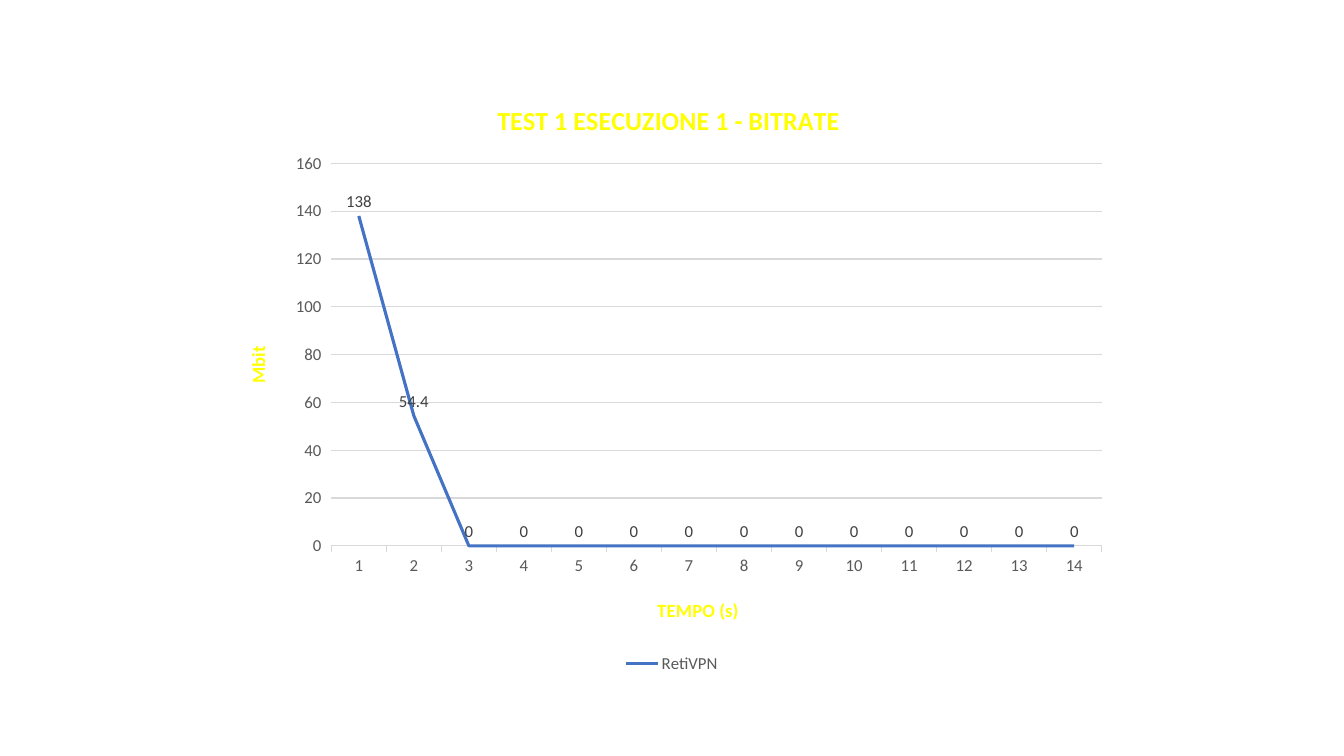
"""Build a slide with a line chart of the bitrate measured in test 1."""
import lxml.etree
import pptx
import pptx.chart.data
import pptx.dml.color
import pptx.enum.chart
import pptx.oxml.ns
import pptx.util
from pptx.util import Cm, Pt


def color(hex_string):
    return pptx.dml.color.RGBColor.from_string(hex_string)


def place(element, position, **fractions):
    """Give a chart part a manual layout, in fractions of the chart."""
    qn = pptx.oxml.ns.qn
    for old_layout in element.findall(qn("c:layout")):
        element.remove(old_layout)
    layout = lxml.etree.Element(qn("c:layout"))
    manual = lxml.etree.SubElement(layout, qn("c:manualLayout"))
    if "w" in fractions:
        lxml.etree.SubElement(manual, qn("c:layoutTarget"), val="inner")
    for mode in ("xMode", "yMode"):
        lxml.etree.SubElement(manual, qn("c:" + mode), val="edge")
    for name, fraction in fractions.items():
        lxml.etree.SubElement(manual, qn("c:" + name), val=str(fraction))
    element.insert(position, layout)


YELLOW, GRAY, LIGHT_GRAY = "FFFF00", "595959", "D9D9D9"

presentation = pptx.Presentation()
presentation.slide_width = Cm(33.87)
presentation.slide_height = Cm(19.05)
slide = presentation.slides.add_slide(presentation.slide_layouts[6])

bitrates = [138, 54.4] + [0] * 12
chart_data = pptx.chart.data.CategoryChartData()
chart_data.categories = [str(second) for second in range(1, len(bitrates) + 1)]
chart_data.add_series("RetiVPN", bitrates)
chart = slide.shapes.add_chart(
    pptx.enum.chart.XL_CHART_TYPE.LINE,
    Cm(5.64), Cm(2.01), Cm(22.58), Cm(15.06), chart_data,
).chart
chart.font.name = "Calibri"
chart.font.size = Pt(12)
chart.font.color.rgb = color(GRAY)

chart.has_legend = True
chart.legend.position = pptx.enum.chart.XL_LEGEND_POSITION.BOTTOM
chart.legend.include_in_layout = False

time_axis, bitrate_axis = chart.category_axis, chart.value_axis
for axis in (time_axis, bitrate_axis):
    axis.major_tick_mark = pptx.enum.chart.XL_TICK_MARK.OUTSIDE
time_axis.format.line.color.rgb = color(LIGHT_GRAY)
time_axis.format.line.width = Pt(0.75)
bitrate_axis.format.line.fill.background()
bitrate_axis.minimum_scale = 0
bitrate_axis.maximum_scale = 160
bitrate_axis.major_unit = 20
gridline = bitrate_axis.major_gridlines.format.line
gridline.color.rgb = color(LIGHT_GRAY)
gridline.width = Pt(0.75)

titles = [
    (chart.chart_title, "TEST 1 ESECUZIONE 1 - BITRATE", 18.62, 0.3, 0.03),
    (time_axis.axis_title, "TEMPO (s)", 13.3, 0.48, 0.86),
    (bitrate_axis.axis_title, "Mbit", 13.3, 0.02, 0.44),
]
for title, text, size, left, top in titles:
    title.text_frame.text = text
    font = title.text_frame.paragraphs[0].font
    font.name = "Calibri"
    font.size = Pt(size)
    font.bold = True
    font.color.rgb = color(YELLOW)
    place(title.element, 1, x=left, y=top)

plot = chart.plots[0]
plot.vary_by_categories = False
place(chart.element.chart.plotArea, 0, x=0.12, y=0.14, w=0.86, h=0.64)

series = plot.series[0]
series.smooth = False
series.format.line.color.rgb = color("4472C4")
series.format.line.width = Pt(2.25)
series.marker.style = pptx.enum.chart.XL_MARKER_STYLE.NONE
labels = series.data_labels
labels.show_value = True
labels.position = pptx.enum.chart.XL_LABEL_POSITION.ABOVE
labels.font.name = "Calibri"
labels.font.size = Pt(12)
labels.font.color.rgb = color("404040")

presentation.save("out.pptx")
